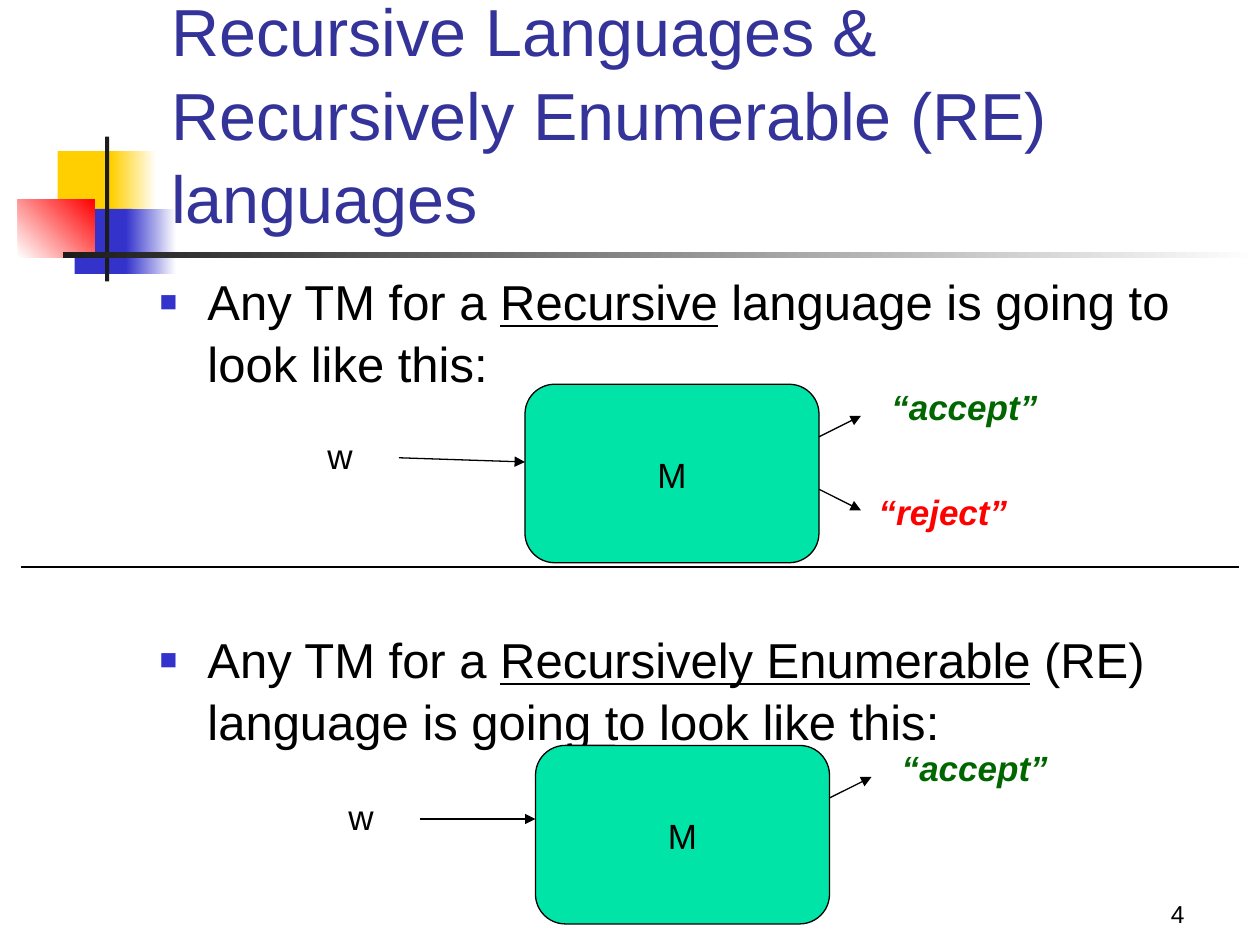
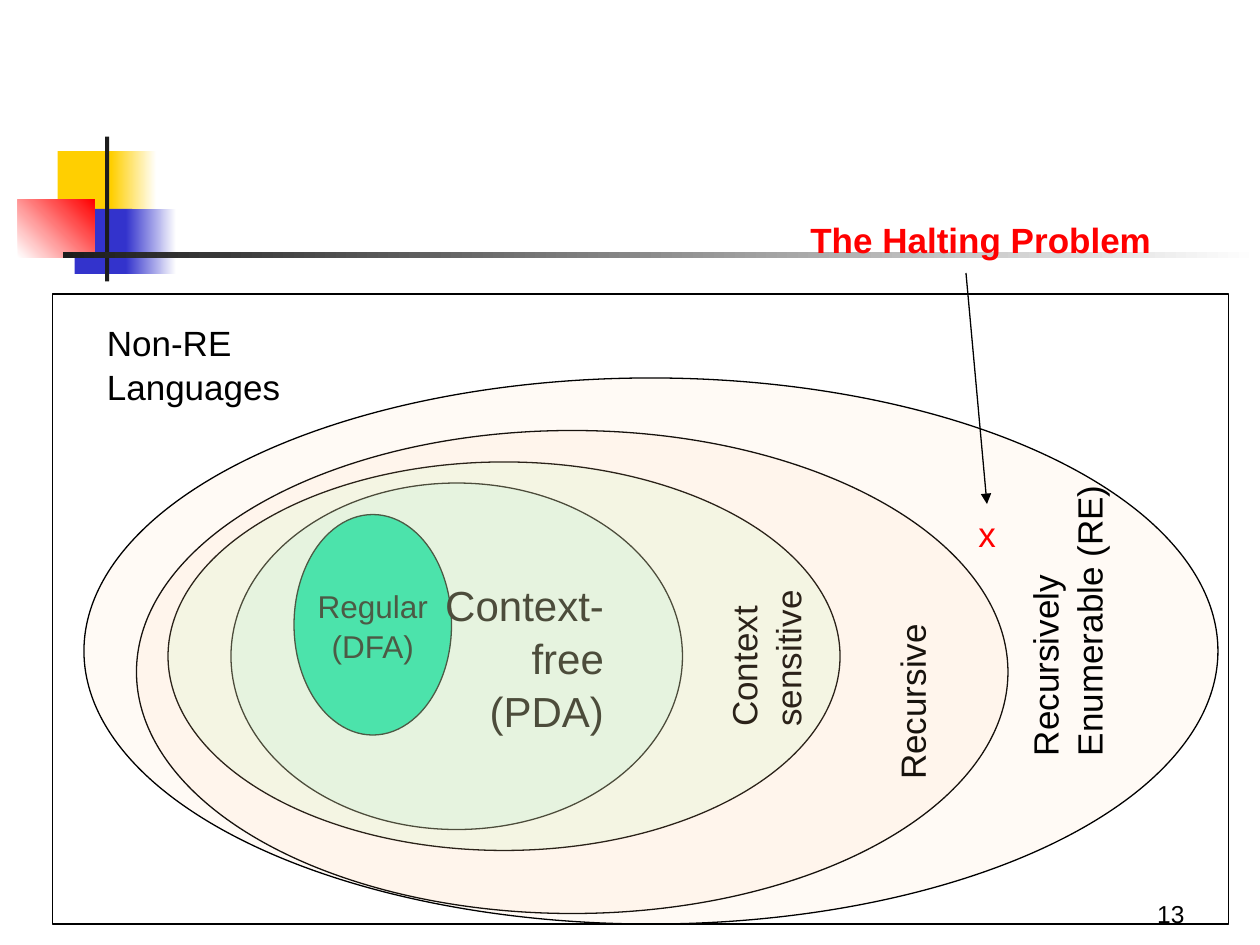
from dataclasses import dataclass
from typing import NamedTuple, Optional

from lxml.etree import SubElement
from pptx import Presentation
from pptx.dml.color import RGBColor
from pptx.enum.shapes import MSO_CONNECTOR, MSO_SHAPE
from pptx.enum.text import MSO_ANCHOR, MSO_AUTO_SIZE, PP_ALIGN
from pptx.oxml.ns import qn
from pptx.util import Inches, Pt

COLUMNS, ROWS = 120, 90
WIDTH, HEIGHT = Inches(10), Inches(7.5)


@dataclass(frozen=True)
class Theme:
    font: str = "Arial"
    ink: str = "000000"
    paper: str = "FFFFFF"
    heading: str = "333399"
    yellow: str = "FFCF01"
    blue: str = "3333CC"
    red: str = "FF0000"
    charcoal: str = "1C1C1C"
    mint: str = "00E4A8"
    pale_green: str = "CCFFCC"
    peach: str = "FFCC99"
    accept: str = "006600"
    title_size: float = 38
    body_size: float = 28
    family_size: float = 24
    label_size: float = 20
    core_size: float = 18
    number_size: float = 14
    leading: float = 1.05
    hairline: float = 0.75


THEME = Theme()


class Box(NamedTuple):
    column: float
    row: float
    columns: float
    rows: float


class Tile(NamedTuple):
    box: Box
    start: str
    end: Optional[str] = None
    angle: float = 0


class Outcome(NamedTuple):
    text: str
    color: str
    arrow_row: float
    rise: float
    label: Box


class Machine(NamedTuple):
    column: float
    row: float
    entry: Box
    arrow_start: tuple
    entry_row: float
    outcomes: list


class LanguageClass(NamedTuple):
    box: Box
    fill: str
    opacity: int = 100
    inside: str = ""
    size: float = THEME.core_size
    align: PP_ALIGN = PP_ALIGN.CENTER
    beside: str = ""
    beside_box: Optional[Box] = None


TILES = [
    Tile(Box(5.5, 14.4, 5.8, 6.2), THEME.yellow),
    Tile(Box(10.6, 14.4, 4.3, 6.2), THEME.yellow, THEME.paper),
    Tile(Box(7.1, 19.9, 5.5, 6.2), THEME.blue),
    Tile(Box(12, 19.9, 4.8, 6.2), THEME.blue, THEME.paper),
    Tile(Box(1.7, 19, 7.3, 5.5), THEME.paper, THEME.red, 45),
    Tile(Box(10, 13, 0.4, 13.8), THEME.charcoal),
    Tile(Box(6, 24, 114, 0.6), THEME.charcoal, THEME.paper),
]

ACCEPT = Outcome("“accept”", THEME.accept, 5, -2, Box(33.7, -0.7, 16.4, 5.3))
REJECT = Outcome("“reject”", THEME.red, 10, 2, Box(32.5, 9.3, 14.8, 5.3))

MACHINES = [
    Machine(50, 36.6, Box(30, 40.6, 4.8, 5.2), (38, 43.6), 44, [ACCEPT, REJECT]),
    Machine(51, 71, Box(32, 75, 4.8, 5.2), (40, 78), 78, [ACCEPT]),
]

CLASSES = [
    LanguageClass(Box(28, 49, 15, 21), THEME.mint, inside="Regular\n(DFA)"),
    LanguageClass(Box(22, 46, 43, 33), THEME.mint, 9, "Context-\vfree\n(PDA)",
                  THEME.family_size, PP_ALIGN.RIGHT),
    LanguageClass(Box(16, 44, 64, 37), THEME.pale_green, 20,
                  beside="Context\nsensitive", beside_box=Box(64.9, 58.1, 15.4, 9.2)),
    LanguageClass(Box(13, 41, 83, 46), THEME.peach, 9,
                  beside="Recursive", beside_box=Box(78, 64.2, 17.3, 5.2)),
    LanguageClass(Box(8, 36, 108, 52), THEME.peach, 9,
                  beside="Recursively\vEnumerable (RE)", beside_box=Box(87.2, 54.5, 28.2, 9.2)),
]


def x(columns: float) -> int:
    return round(WIDTH * columns / COLUMNS)


def y(rows: float) -> int:
    return round(HEIGHT * rows / ROWS)


def place(box: Box) -> tuple:
    return x(box.column), y(box.row), x(box.columns), y(box.rows)


def rgb(color: str) -> RGBColor:
    return RGBColor.from_string(color)


def write(frame, text: str, *, size: float = THEME.label_size, color: str = THEME.ink,
          bold: bool = False, italic: bool = False, align=PP_ALIGN.LEFT,
          anchor=MSO_ANCHOR.TOP, wrap: bool = False) -> None:
    frame.word_wrap = wrap
    frame.auto_size = MSO_AUTO_SIZE.NONE
    frame.vertical_anchor = anchor
    for index, content in enumerate(text.split("\n")):
        paragraph = frame.add_paragraph() if index else frame.paragraphs[0]
        paragraph.alignment = align
        paragraph.line_spacing = THEME.leading
        for number, line in enumerate(content.split("\v")):
            if number:
                paragraph.add_line_break()
            for turn, part in enumerate(line.split("_")):
                run = paragraph.add_run()
                run.text = part
                font = run.font
                font.name, font.size = THEME.font, Pt(size)
                font.bold, font.italic, font.underline = bold, italic, turn % 2 == 1
                font.color.rgb = rgb(color)


def add_label(slide, box: Box, text: str, rotation: float = 0, **text_format) -> None:
    label = slide.shapes.add_textbox(*place(box))
    label.rotation = rotation
    write(label.text_frame, text, **text_format)


def add_figure(slide, kind: MSO_SHAPE, box: Box, fill: Optional[str] = None,
               opacity: int = 100, outlined: bool = True):
    figure = slide.shapes.add_shape(kind, *place(box))
    figure.shadow.inherit = False
    if fill:
        figure.fill.solid()
        figure.fill.fore_color.rgb = rgb(fill)
        if opacity < 100:
            tint = figure._element.spPr.find(qn("a:solidFill"))[0]
            SubElement(tint, qn("a:alpha"), val=str(opacity * 1000))
    else:
        figure.fill.background()
    if outlined:
        figure.line.color.rgb = rgb(THEME.ink)
        figure.line.width = Pt(THEME.hairline)
    else:
        figure.line.fill.background()
    return figure


def add_line(slide, start: tuple, end: tuple, arrow: bool = True) -> None:
    line = slide.shapes.add_connector(
        MSO_CONNECTOR.STRAIGHT, x(start[0]), y(start[1]), x(end[0]), y(end[1]))
    line.line.color.rgb = rgb(THEME.ink)
    line.line.width = Pt(THEME.hairline)
    properties = line._element.spPr
    if arrow:
        SubElement(properties.find(qn("a:ln")), qn("a:tailEnd"), type="triangle")
    SubElement(properties, qn("a:effectLst"))


def decorate_master(master, slide) -> None:
    for position, tile in enumerate(TILES):
        figure = add_figure(slide, MSO_SHAPE.RECTANGLE, tile.box, tile.start, outlined=False)
        if tile.end:
            figure.fill.gradient()
            figure.fill.gradient_angle = tile.angle
            for stop, color in zip(figure.fill.gradient_stops, (tile.start, tile.end)):
                stop.color.rgb = rgb(color)
        element = figure._element
        element.nvSpPr.cNvPr.set("id", str(100 + position))
        master.shapes._spTree.insert(2 + position, element)


def add_number(slide, number: str) -> None:
    add_label(slide, Box(89, 83, 25, 6), number, size=THEME.number_size,
              align=PP_ALIGN.RIGHT, anchor=MSO_ANCHOR.BOTTOM, wrap=True)


def add_bullet(paragraph) -> None:
    properties = paragraph._p.get_or_add_pPr()
    indent = Inches(0.38)
    properties.set("marL", str(indent))
    properties.set("indent", str(-indent))
    SubElement(SubElement(properties, qn("a:buClr")), qn("a:srgbClr"), val=THEME.blue)
    SubElement(properties, qn("a:buSzPct"), val="60000")
    SubElement(properties, qn("a:buFont"), typeface=THEME.font)
    SubElement(properties, qn("a:buChar"), char="■")


def fill_placeholder(placeholder, box: Box, text: str, **text_format):
    placeholder.left, placeholder.top, placeholder.width, placeholder.height = place(box)
    write(placeholder.text_frame, text, wrap=True, **text_format)
    return placeholder.text_frame.paragraphs


def add_machine(slide, machine: Machine) -> None:
    column, row = machine.column, machine.row
    body = add_figure(slide, MSO_SHAPE.ROUNDED_RECTANGLE, Box(column, row, 28, 17), THEME.mint)
    write(body.text_frame, "M", align=PP_ALIGN.CENTER, anchor=MSO_ANCHOR.MIDDLE)
    add_label(slide, machine.entry, "w")
    add_line(slide, machine.arrow_start, (column, machine.entry_row))
    for outcome in machine.outcomes:
        exit_row = row + outcome.arrow_row
        add_line(slide, (column + 28, exit_row), (column + 32, exit_row + outcome.rise))
        offset = outcome.label
        add_label(slide, Box(column + offset.column, row + offset.row, offset.columns, offset.rows),
                  outcome.text, color=outcome.color, bold=True, italic=True)


def build_machines(slide) -> None:
    add_number(slide, "4")
    fill_placeholder(slide.shapes.title, Box(15.1, 8.2, 102.2, 15),
                     "Recursive Languages &\vRecursively Enumerable (RE) languages",
                     size=THEME.title_size, color=THEME.heading, anchor=MSO_ANCHOR.BOTTOM)
    statements = fill_placeholder(
        slide.placeholders[1], Box(14, 25, 102, 54),
        "Any TM for a _Recursive_ language is going to look like this:\n"
        "Any TM for a _Recursively Enumerable_ (RE) language is going to look like this:",
        size=THEME.body_size)
    for statement, gap in zip(statements, (0, 134)):
        statement.space_before = Pt(gap)
        add_bullet(statement)
    for machine in MACHINES:
        add_machine(slide, machine)
    add_line(slide, (2, 54), (118, 54), arrow=False)


def build_hierarchy(slide) -> None:
    add_number(slide, "13")
    for language in CLASSES:
        region = add_figure(slide, MSO_SHAPE.OVAL, language.box, language.fill, language.opacity)
        if language.inside:
            write(region.text_frame, language.inside, size=language.size,
                  align=language.align, anchor=MSO_ANCHOR.MIDDLE)
        if language.beside:
            add_label(slide, language.beside_box, language.beside, rotation=270)
    add_label(slide, Box(9, 29.8, 19, 9.2), "Non-RE\vLanguages")
    add_figure(slide, MSO_SHAPE.RECTANGLE, Box(5, 28, 112, 60))
    add_label(slide, Box(76, 20, 34.8, 5.2), "The Halting Problem", color=THEME.red, bold=True)
    add_line(slide, (92, 26), (94, 48))
    add_label(slide, Box(92, 48, 4.1, 5.3), "x", color=THEME.red)


def main() -> None:
    deck = Presentation()
    deck.slide_width, deck.slide_height = WIDTH, HEIGHT
    machines = deck.slides.add_slide(deck.slide_layouts[1])
    decorate_master(deck.slide_master, machines)
    build_machines(machines)
    build_hierarchy(deck.slides.add_slide(deck.slide_layouts[6]))
    deck.save("out.pptx")


if __name__ == "__main__":
    main()
